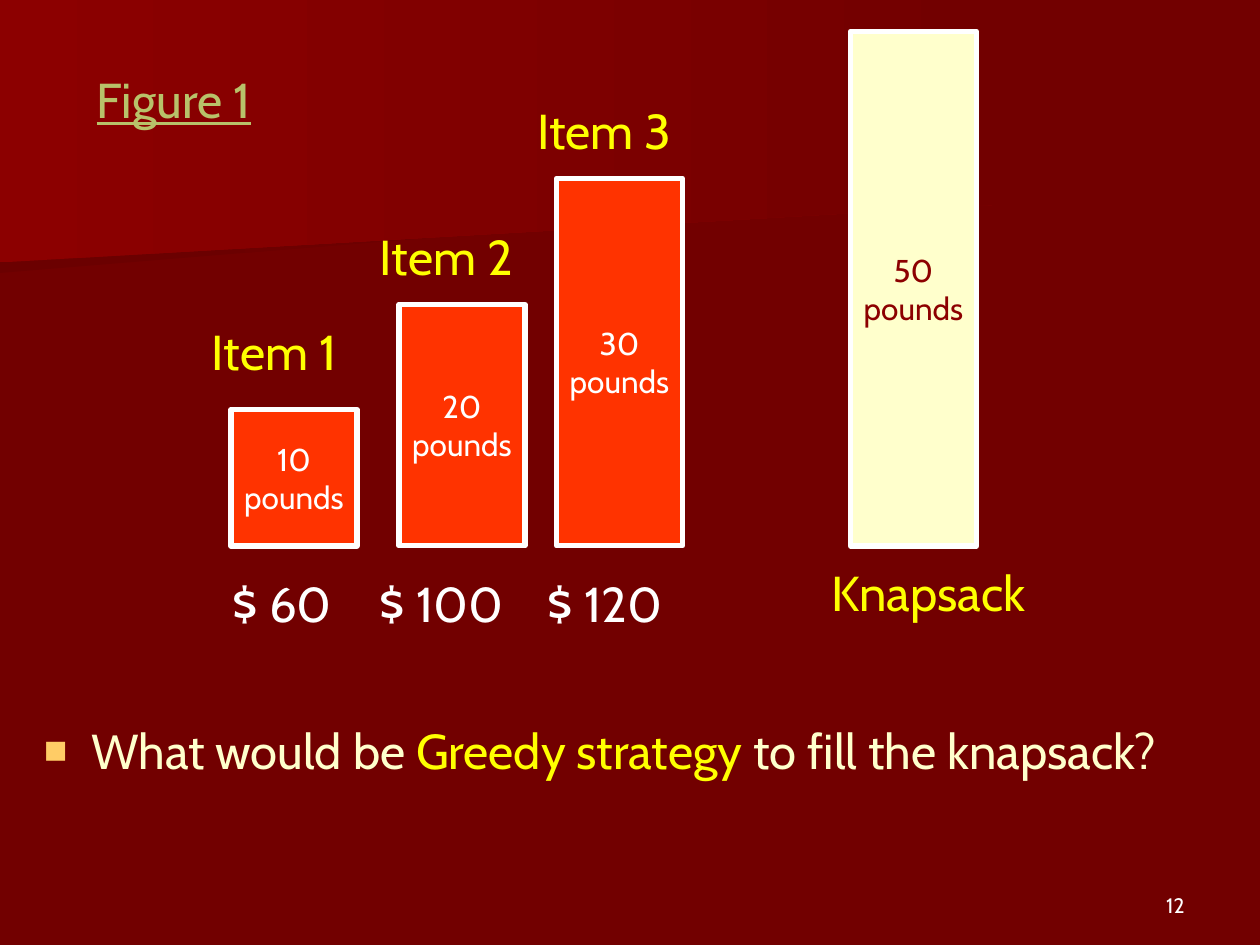
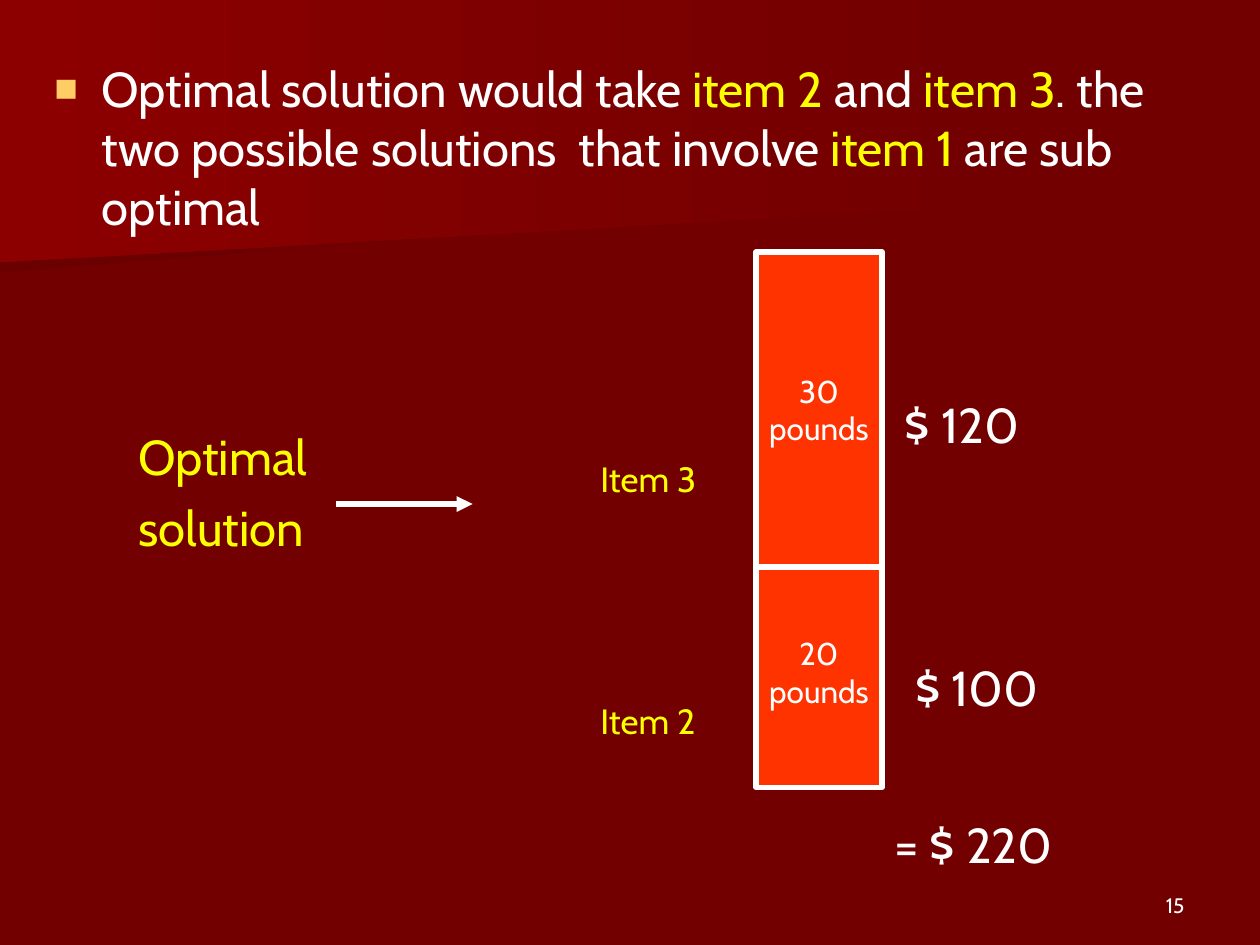
from dataclasses import dataclass

import pptx
import pptx.dml.color
import pptx.enum.shapes
import pptx.enum.text
import pptx.oxml.ns
import pptx.util
from lxml import etree

Pt = pptx.util.Pt
Align = pptx.enum.text.PP_ALIGN
Anchor = pptx.enum.text.MSO_ANCHOR
qn = pptx.oxml.ns.qn


@dataclass(frozen=True)
class Theme:
    font: str = "Cabin"
    backdrop: str = "720000"
    band_shade: str = "6B0000"
    band_glow: str = "8C0000"
    white: str = "FFFFFF"
    cream: str = "FFFFCC"
    yellow: str = "FFFF00"
    title: str = "B8C26A"
    item: str = "FF3300"
    bullet: str = "FFCC66"
    large: int = 28
    small: int = 20
    weight: int = 18
    number: int = 12
    outline: int = 3


THEME = Theme()
BAR_WIDTH = 72
LABEL_HEIGHT = 42


def rgb(value):
    return pptx.dml.color.RGBColor.from_string(value)


def write(frame, text, color=THEME.white, size=THEME.large, align=Align.LEFT,
          anchor=Anchor.TOP, before=0, wrap=True, underline=None):
    """Fill a frame; text is a list of paragraphs, each a string or (words, colour) runs."""
    frame.auto_size = pptx.enum.text.MSO_AUTO_SIZE.NONE
    frame.word_wrap = wrap
    frame.vertical_anchor = anchor
    for index, content in enumerate(text):
        paragraph = frame.paragraphs[0] if index == 0 else frame.add_paragraph()
        paragraph.alignment = align
        paragraph.space_before = Pt(before)
        runs = [(content, color)] if isinstance(content, str) else content
        for words, run_color in runs:
            run = paragraph.add_run()
            run.text = words
            run.font.name = THEME.font
            run.font.size = Pt(size)
            run.font.underline = underline
            run.font.color.rgb = rgb(run_color)


def add_label(slide, left, top, width, *text, height=LABEL_HEIGHT, before=7, **style):
    label = slide.shapes.add_textbox(Pt(left), Pt(top), Pt(width), Pt(height))
    write(label.text_frame, text, before=before, **style)
    return label


def add_bullet(slide, left, top, width, height, runs):
    statement = add_label(slide, left, top, width, runs, height=height)
    properties = statement.text_frame.paragraphs[0]._p.get_or_add_pPr()
    properties.set("marL", str(Pt(27)))
    properties.set("indent", str(-Pt(27)))
    bullet_color = etree.SubElement(properties, qn("a:buClr"))
    etree.SubElement(bullet_color, qn("a:srgbClr"), val=THEME.bullet)
    etree.SubElement(properties, qn("a:buSzPct"), val="80000")
    etree.SubElement(properties, qn("a:buFont"), typeface="Arial")
    etree.SubElement(properties, qn("a:buChar"), char="■")


def add_bar(slide, left, top, height, pounds, fill=THEME.item, color=THEME.white):
    bar = slide.shapes.add_shape(pptx.enum.shapes.MSO_SHAPE.RECTANGLE,
                                 Pt(left), Pt(top), Pt(BAR_WIDTH), Pt(height))
    bar.shadow.inherit = False
    bar.fill.solid()
    bar.fill.fore_color.rgb = rgb(fill)
    bar.line.color.rgb = rgb(THEME.white)
    bar.line.width = Pt(THEME.outline)
    write(bar.text_frame, [str(pounds), "pounds"], color=color, size=THEME.weight,
          align=Align.CENTER, anchor=Anchor.MIDDLE, wrap=False)


def add_arrow(slide, start, end, y):
    arrow = slide.shapes.add_connector(pptx.enum.shapes.MSO_CONNECTOR.STRAIGHT,
                                       Pt(start), Pt(y), Pt(end), Pt(y))
    arrow.line.color.rgb = rgb(THEME.white)
    arrow.line.width = Pt(THEME.outline)
    etree.SubElement(arrow.line._get_or_add_ln(), qn("a:tailEnd"), type="triangle")
    etree.SubElement(arrow.element.spPr, qn("a:effectLst"))


def add_band(slide, corners, glow):
    points = [(Pt(x), Pt(y)) for x, y in corners]
    builder = slide.shapes.build_freeform(*points[0])
    builder.add_line_segments(points[1:], close=True)
    band = builder.convert_to_shape()
    band.shadow.inherit = False
    band.line.fill.background()
    band.fill.gradient()
    band.fill.gradient_angle = 0
    for stop, color in zip(band.fill.gradient_stops, (glow, THEME.backdrop)):
        stop.color.rgb = rgb(color)


def add_slide(deck, layout, number):
    slide = deck.slides.add_slide(deck.slide_layouts.get_by_name(layout))
    add_band(slide, [(560, 110), (0, 156), (0, 73), (561, 73)], THEME.band_shade)
    add_band(slide, [(570, 117), (0, 150), (0, 0), (570, 0)], THEME.band_glow)
    add_label(slide, 516, 492, 168, str(number), height=36, before=0,
              size=THEME.number, align=Align.RIGHT, anchor=Anchor.BOTTOM)
    return slide


def set_title(slide, text):
    title = slide.shapes.title
    title.left, title.top, title.width, title.height = map(Pt, (48, 36, 132, LABEL_HEIGHT))
    write(title.text_frame, [text], color=THEME.title, before=7, underline=True)
    title.element.getparent().append(title.element)


def build_problem(deck):
    slide = add_slide(deck, "Title Only", 12)
    set_title(slide, "Figure 1")
    add_bullet(slide, 18, 408, 684, 108, [
        ("What would be ", THEME.cream),
        ("Greedy strategy", THEME.yellow),
        (" to fill the knapsack?", THEME.cream),
    ])
    floor = 312
    items = [
        (10, 132, 78, 180, "$ 60", 126),
        (20, 228, 138, 126, "$ 100", 210),
        (30, 318, 210, 54, "$ 120", 306),
    ]
    for number, (pounds, left, height, name_top, price, price_left) in enumerate(items, 1):
        add_bar(slide, left, floor - height, height, pounds)
        add_label(slide, left - 18, name_top, 102, f"Item {number}", color=THEME.yellow)
        add_label(slide, price_left, 324, 96, price)
    add_bar(slide, 486, 18, floor - 18, 50, fill=THEME.cream, color=THEME.band_glow)
    add_label(slide, 468, 318, 132, "Knapsack", color=THEME.yellow)


def build_solution(deck):
    slide = add_slide(deck, "Blank", 15)
    add_bullet(slide, 24, 30, 672, 120, [
        ("Optimal solution would take ", THEME.white),
        ("item 2", THEME.yellow),
        (" and ", THEME.white),
        ("item 3", THEME.yellow),
        (". the two possible solutions  that involve ", THEME.white),
        ("item 1", THEME.yellow),
        (" are sub optimal", THEME.white),
    ])
    chosen = [
        ("Item 2", 20, 318, 132, 396, "$ 100", 516, 372),
        ("Item 3", 30, 144, 180, 258, "$ 120", 510, 222),
    ]
    for name, pounds, top, height, name_top, price, price_left, price_top in chosen:
        add_bar(slide, 432, top, height, pounds)
        add_label(slide, 336, name_top, 90, name, before=5,
                  color=THEME.yellow, size=THEME.small)
        add_label(slide, price_left, price_top, 96, price)
    add_label(slide, 504, 462, 126, "= $ 220")
    add_label(slide, 72, 240, 114, "Optimal", "solution", height=78, color=THEME.yellow)
    add_arrow(slide, 192, 270, 288)


def main():
    deck = pptx.Presentation()
    deck.slide_width, deck.slide_height = Pt(720), Pt(540)
    backdrop = deck.slide_master.background.fill
    backdrop.solid()
    backdrop.fore_color.rgb = rgb(THEME.backdrop)
    build_problem(deck)
    build_solution(deck)
    deck.save("out.pptx")


if __name__ == "__main__":
    main()
